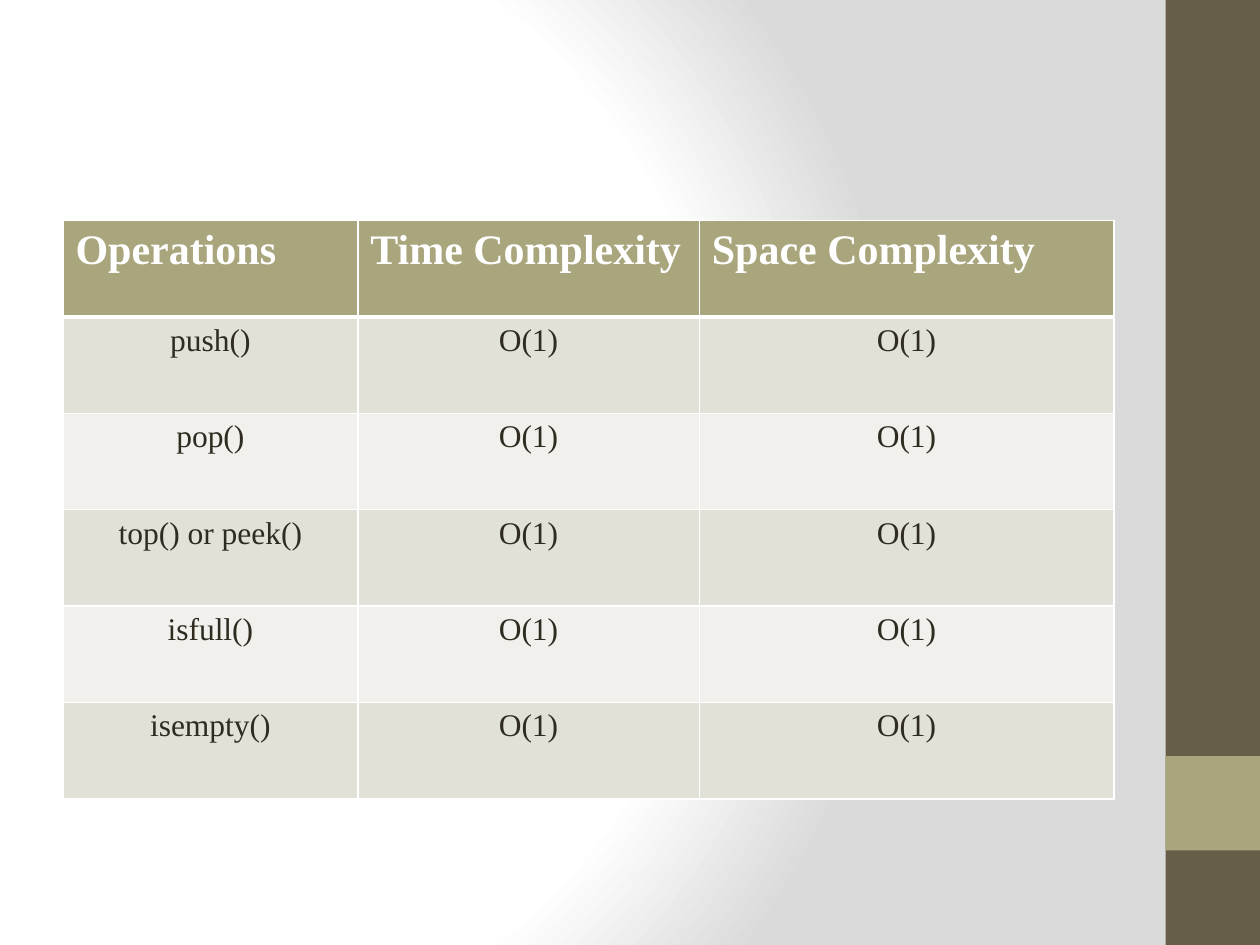
from lxml.etree import SubElement
from pptx import Presentation
from pptx.dml.color import RGBColor as RGB
from pptx.enum.shapes import MSO_SHAPE as SHAPE
from pptx.enum.text import PP_ALIGN as ALIGN
from pptx.oxml import parse_xml
from pptx.oxml.ns import nsdecls, qn
from pptx.util import Emu, Pt

PX = 9144
WHITE = RGB(0xFF, 0xFF, 0xFF)
SILVER = RGB(0xDA, 0xDA, 0xDA)
BROWN = RGB(0x67, 0x5E, 0x47)
OLIVE = RGB(0xA9, 0xA5, 0x7C)
INK = RGB(0x2F, 0x2B, 0x20)
BANDS = [RGB(0xE2, 0xE1, 0xD7), RGB(0xF1, 0xF0, 0xEC)]

HEADERS = ["Operations", "Time Complexity", "Space Complexity"]
OPERATIONS = ["push()", "pop()", "top() or peek()", "isfull()", "isempty()"]


def px(n):
    return Emu(round(n * PX))


class Deck:
    """Holds the style and the current slide, and draws each kind of element."""

    font = "Times New Roman"
    head_size = Pt(24)
    body_size = Pt(18)

    def __init__(self, width, height):
        self.prs = Presentation()
        self.prs.slide_width, self.prs.slide_height = px(width), px(height)
        self.s = self.prs.slides.add_slide(self.prs.slide_layouts[6])

    def background(self, stops, left, top, right, bottom):
        self.s.background.fill.solid()
        solid = next(self.s.element.iter(qn("a:solidFill")))
        marks = "".join(
            f'<a:gs pos="{pos * 1000}"><a:srgbClr val="{color}"/></a:gs>'
            for pos, color in stops
        )
        grad = parse_xml(
            f'<a:gradFill {nsdecls("a")} rotWithShape="1"><a:gsLst>{marks}</a:gsLst>'
            f'<a:path path="circle"><a:fillToRect l="{left * 1000}" t="{top * 1000}" '
            f'r="{right * 1000}" b="{bottom * 1000}"/></a:path></a:gradFill>'
        )
        solid.getparent().replace(solid, grad)

    def rect(self, x, y, w, h, color):
        sp = self.s.shapes.add_shape(SHAPE.RECTANGLE, px(x), px(y), px(w), px(h))
        sp.shadow.inherit = False
        sp.fill.solid()
        sp.fill.fore_color.rgb = color
        sp.line.fill.background()

    def borders(self, cell, top, bottom):
        tc_pr = cell._tc.get_or_add_tcPr()
        for side, width in (("L", 1), ("R", 1), ("T", top), ("B", bottom)):
            ln = SubElement(tc_pr, qn(f"a:ln{side}"), w=str(Pt(width)))
            fill = SubElement(ln, qn("a:solidFill"))
            SubElement(fill, qn("a:srgbClr"), val=str(WHITE))

    def cell(self, cell, text, row):
        header = row == 0
        self.borders(cell, 3 if row == 1 else 1, 3 if header else 1)
        cell.fill.solid()
        cell.fill.fore_color.rgb = OLIVE if header else BANDS[(row - 1) % 2]
        p = cell.text_frame.paragraphs[0]
        p.text = text
        p.alignment = ALIGN.LEFT if header else ALIGN.CENTER
        font = p.runs[0].font
        font.name = self.font
        font.size = self.head_size if header else self.body_size
        font.bold = header
        font.color.rgb = WHITE if header else INK

    def table(self, x, y, widths, h, rows):
        frame = self.s.shapes.add_table(
            len(rows), len(widths), px(x), px(y), px(sum(widths)), px(h)
        )
        tbl = frame.table
        for column, width in zip(tbl.columns, widths):
            column.width = px(width)
        for i, texts in enumerate(rows):
            tbl.rows[i].height = px(h / len(rows))
            for j, text in enumerate(texts):
                self.cell(tbl.cell(i, j), text, i)


def main():
    deck = Deck(1000, 750)
    deck.background([(0, WHITE), (75, WHITE), (100, SILVER)], 20, 50, 100, 50)
    deck.rect(925, 0, 75, 750, BROWN)
    deck.rect(925, 600, 75, 75, OLIVE)
    rows = [HEADERS] + [[name, "O(1)", "O(1)"] for name in OPERATIONS]
    deck.table(50, 175, [234, 271, 329], 459, rows)
    deck.prs.save("out.pptx")


if __name__ == "__main__":
    main()
